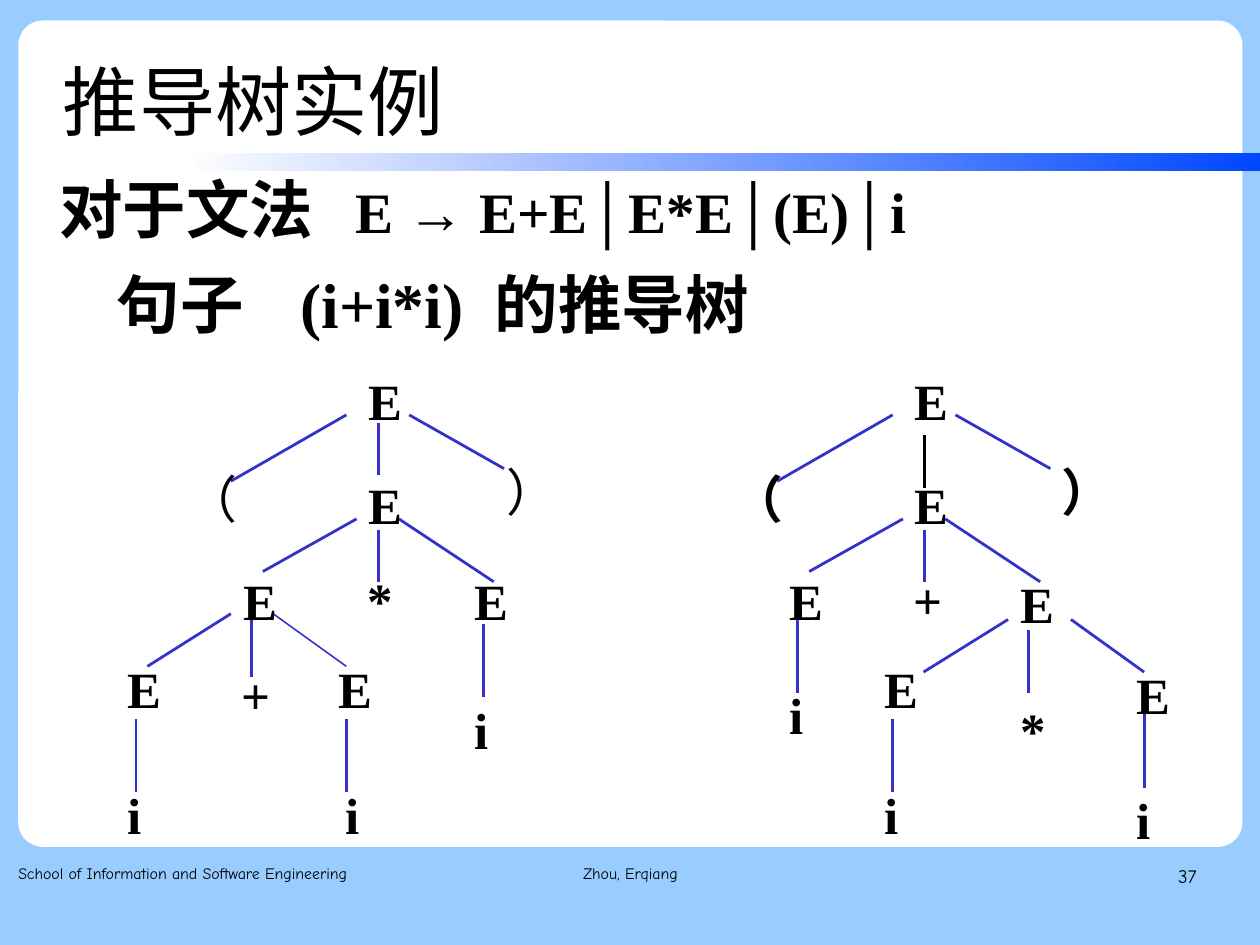
from lxml.etree import SubElement
from pptx import Presentation
from pptx.dml.color import RGBColor
from pptx.enum.shapes import MSO_CONNECTOR, MSO_SHAPE
from pptx.enum.text import MSO_ANCHOR, MSO_AUTO_SIZE, PP_ALIGN
from pptx.oxml.ns import qn
from pptx.util import Cm, Pt

PX = 9144  # EMU per px, 100 px to the inch
SKY = RGBColor(0x99, 0xCC, 0xFF)
WHITE = RGBColor(0xFF, 0xFF, 0xFF)
BLUE = RGBColor(0x00, 0x47, 0xFF)
BRANCH = RGBColor(0x33, 0x33, 0xCC)
BLACK = RGBColor(0x00, 0x00, 0x00)
SANS, SERIF, HAND = "Arial", "Times New Roman", "Comic Neue"

# Content: runs are (text, font, size)
TITLE = "推导树实例"
GRAMMAR = [  # tab stops, runs
    ([259], [("对于文法", SANS, 40), ("\tE → E+E│E*E│(E)│i", SERIF, 36)]),
    ([50, 211, 381], [("\t句子", SANS, 40), ("\t(i+i*i)", SERIF, 40),
                      ("\t的推导树", SANS, 40)]),
]
FOOTERS = [  # x, width, alignment, size, text
    (16, 338, PP_ALIGN.LEFT, 10, "School of Information and Software Engineering"),
    (377, 349, PP_ALIGN.CENTER, 10, "Zhou, Erqiang"),
    (790, 257, PP_ALIGN.RIGHT, 12, "37"),
]

# Upper part, common to both trees: nodes (text, x, y), edges (x1, y1, x2, y2)
TREE_STEP = 478
TOP_NODES = [("E", 311, 322), ("E", 311, 413), ("E", 202, 497), ("（", 152, 408)]
TOP_EDGES = [(303, 363, 202, 421), (358, 363, 441, 410), (312, 454, 230, 500),
             (349, 454, 432, 509), (331, 464, 331, 509)]

# Lower parts and details of each tree; edges end with colour and width
TREES = [
    dict(bold_parens=False,
         nodes=[("）", 432, 402), ("*", 311, 496), ("E", 404, 497), ("E", 101, 574),
                ("+", 200, 579), ("E", 285, 574), ("i", 101, 684), ("i", 291, 684),
                ("i", 404, 610)],
         edges=[(331, 370, 331, 416, BRANCH, 1.75), (202, 537, 129, 583, BRANCH, 1.75),
                (239, 537, 303, 583, BRANCH, 1), (220, 537, 220, 592, BRANCH, 1.75),
                (119, 629, 119, 693, BRANCH, 1), (303, 629, 303, 693, BRANCH, 1.75),
                (423, 546, 423, 610, BRANCH, 1.75)]),
    dict(bold_parens=True,
         nodes=[("）", 918, 402), ("+", 788, 496), ("E", 882, 500), ("E", 763, 574),
                ("*", 882, 610), ("E", 983, 579), ("i", 680, 597), ("i", 763, 684),
                ("i", 983, 689)],
         edges=[(809, 381, 809, 427, BLACK, 1.75), (882, 542, 808, 588, BRANCH, 1.75),
                (937, 542, 1001, 588, BRANCH, 1.75), (900, 551, 900, 606, BRANCH, 1.75),
                (698, 542, 698, 606, BRANCH, 1.75), (781, 629, 781, 693, BRANCH, 1.75),
                (1001, 625, 1001, 689, BRANCH, 1.75)]),
]
NODE_W = {"E": 52, "i": 34, "*": 44, "+": 47, "（": 67, "）": 67}
NODE_H = 61

prs = Presentation()
prs.slide_width, prs.slide_height = Cm(28), Cm(21)
s = prs.slides.add_slide(prs.slide_layouts[6])


def add_panel(kind, x, y, w, h):
    sp = s.shapes.add_shape(kind, x * PX, y * PX, w * PX, h * PX)
    sp.shadow.inherit = False
    sp.line.fill.background()
    return sp


def add_box(x, y, w, h, inset=(0, 0, 0, 0), wrap=True):
    tf = s.shapes.add_textbox(x * PX, y * PX, w * PX, h * PX).text_frame
    tf.margin_left, tf.margin_top, tf.margin_right, tf.margin_bottom = (
        m * PX for m in inset)
    tf.word_wrap = wrap
    return tf


def add_run(p, text, font, size, bold=False):
    r = p.add_run()
    r.text = text
    r.font.name, r.font.size, r.font.bold = font, Pt(size), bold
    r.font.color.rgb = BLACK


def add_node(text, x, y, bold):
    tf = add_box(x, y, NODE_W[text], NODE_H, (11, 6, 11, 6), wrap=False)
    tf.auto_size = MSO_AUTO_SIZE.SHAPE_TO_FIT_TEXT
    p = tf.paragraphs[0]
    p.line_spacing = 0.93
    add_run(p, text, SERIF, 32, bold)


def add_edge(x1, y1, x2, y2, color=BRANCH, width=1.75):
    c = s.shapes.add_connector(MSO_CONNECTOR.STRAIGHT,
                               x1 * PX, y1 * PX, x2 * PX, y2 * PX)
    c.line.color.rgb, c.line.width = color, Pt(width)
    SubElement(c._element.spPr, qn("a:effectLst"))


# Background, white panel and gradient bar
s.background.fill.solid()
s.background.fill.fore_color.rgb = SKY
panel = add_panel(MSO_SHAPE.ROUNDED_RECTANGLE, 16, 18, 1071, 723)
panel.adjustments[0] = 0.03
panel.fill.solid()
panel.fill.fore_color.rgb = WHITE
bar = add_panel(MSO_SHAPE.RECTANGLE, 157, 134, 945, 16)
bar.fill.gradient()
bar.fill.gradient_angle = 0
for stop, position, color in zip(bar.fill.gradient_stops, (0, 1), (WHITE, BLUE)):
    stop.position, stop.color.rgb = position, color

# Title
tf = add_box(55, 33, 858, 101)
tf.vertical_anchor = MSO_ANCHOR.MIDDLE
p = tf.paragraphs[0]
p.line_spacing = 1.1
add_run(p, TITLE, SANS, 48)

# Grammar and sentence
tf = add_box(52, 152, 992, 479, (0, 2, 0, 0))
for i, (tabs, runs) in enumerate(GRAMMAR):
    p = tf.add_paragraph() if i else tf.paragraphs[0]
    p.line_spacing, p.space_after = 0.95, Pt(14.1)
    tab_list = SubElement(p._p.get_or_add_pPr(), qn("a:tabLst"))
    for tab in tabs:
        SubElement(tab_list, qn("a:tab"), pos=str(tab * PX), algn="l")
    for text, font, size in runs:
        add_run(p, text, font, size, bold=True)

# Derivation trees
for i, tree in enumerate(TREES):
    dx = i * TREE_STEP
    for x1, y1, x2, y2 in TOP_EDGES:
        add_edge(x1 + dx, y1, x2 + dx, y2)
    for edge in tree["edges"]:
        add_edge(*edge)
    for text, x, y in [(t, x + dx, y) for t, x, y in TOP_NODES] + tree["nodes"]:
        add_node(text, x, y, tree["bold_parens"] or text not in "（）")

# Footer
for x, w, align, size, text in FOOTERS:
    p = add_box(x, 753, w, 57).paragraphs[0]
    p.alignment, p.line_spacing = align, 1.16
    add_run(p, text, HAND, size)

prs.save("out.pptx")
